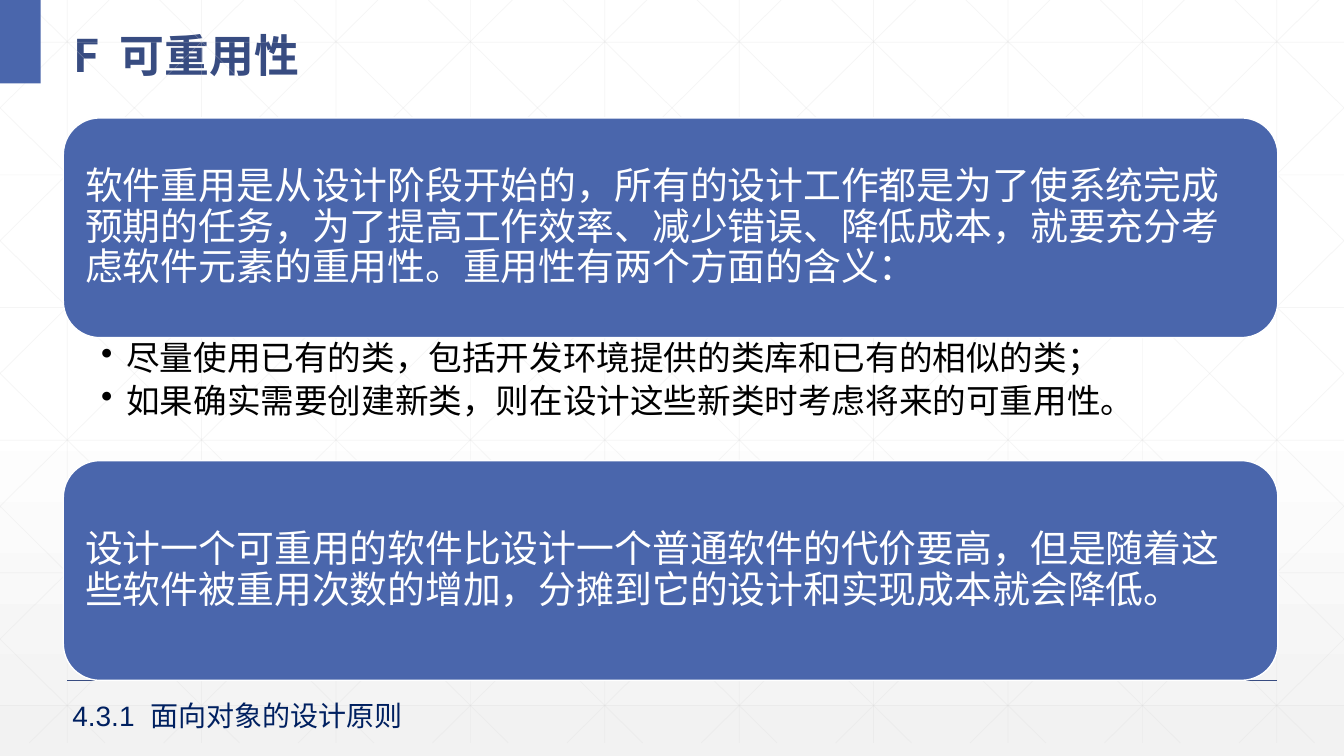
from pptx import Presentation
from pptx.dml.color import RGBColor
from pptx.enum.shapes import MSO_CONNECTOR as Link, MSO_SHAPE as Kind
from pptx.enum.text import MSO_ANCHOR as Anchor, PP_ALIGN as Align
from pptx.oxml.ns import qn
from pptx.util import Pt
from lxml.etree import SubElement

TITLE = "F  可重用性"
INTRO = ("软件重用是从设计阶段开始的，所有的设计工作都是为了使系统完成预期的任务，"
         "为了提高工作效率、减少错误、降低成本，就要充分考虑软件元素的重用性。"
         "重用性有两个方面的含义：")
POINTS = [
    "尽量使用已有的类，包括开发环境提供的类库和已有的相似的类；",
    "如果确实需要创建新类，则在设计这些新类时考虑将来的可重用性。",
]
COST = ("设计一个可重用的软件比设计一个普通软件的代价要高，"
        "但是随着这些软件被重用次数的增加，分摊到它的设计和实现成本就会降低。")
FOOTER = "4.3.1  面向对象的设计原则"

HEX = {"blue": "4A66AC", "deep": "384C81", "navy": "002060", "white": "FFFFFF",
       "black": "000000", "grid": "D9D9D9", "fade": "F2F2F2"}
SANS, HAN = "Arial", "Noto Sans CJK SC"

WIDE, HIGH = 960, 540
FLOOR = 530.6                 # lower end of the grid
COL, ROW = 96, 94.75          # grid steps
RUN = 537                     # sideways reach of a full diagonal
LEFT, TOP = 45.2, 84.2
BOX_W, BOX_H, GAP = 867.6, 157, 87.8


def color(name):
    return RGBColor.from_string(HEX[name])


def rule(slide, x1, y1, x2, y2, tone, width, alpha=None):
    line = slide.shapes.add_connector(Link.STRAIGHT, Pt(x1), Pt(y1), Pt(x2), Pt(y2))
    line.line.color.rgb = color(tone)
    line.line.width = Pt(width)
    if alpha:
        shade = line.line._ln.find(".//" + qn("a:srgbClr"))
        SubElement(shade, qn("a:alpha")).set("val", str(alpha * 1000))
    SubElement(line._element.spPr, qn("a:effectLst"))


def grid():
    """Return the ends of all grid lines, diagonals cut at the slide edges."""
    ends = [(48 + COL * i, 0, 48 + COL * i, FLOOR) for i in range(10)]
    ends += [(0, 30.2 + ROW * i, WIDE, 30.2 + ROW * i) for i in range(6)]
    slope = FLOOR / RUN
    for i in range(-5, 10):
        start = 18 + COL * i
        x1, x2 = max(start, 0), min(start + RUN, WIDE)
        y1, y2 = (x1 - start) * slope, (x2 - start) * slope
        ends += [(x1, y1, x2, y2), (WIDE - x1, y1, WIDE - x2, y2)]
    return ends


def block(slide, kind, x, y, w, h):
    shape = slide.shapes.add_shape(kind, Pt(x), Pt(y), Pt(w), Pt(h))
    shape.shadow.inherit = False
    shape.fill.solid()
    shape.fill.fore_color.rgb = color("blue")
    shape.line.fill.background()
    return shape


def area(slide, x, y, w, h):
    return slide.shapes.add_textbox(Pt(x), Pt(y), Pt(w), Pt(h)).text_frame


def write(frame, text, size, tone, face=SANS, bold=False, space=None):
    frame.word_wrap = True
    frame.text = text
    for para in frame.paragraphs:
        para.alignment = Align.LEFT
        para.line_spacing = space
        for run in para.runs:
            run.font.size, run.font.bold, run.font.name = Pt(size), bold, face
            run.font.color.rgb = color(tone)
            east = SubElement(run._r.get_or_add_rPr(), qn("a:ea"))
            east.set("typeface", face)


def inset(frame, left, top, right, bottom):
    frame.margin_left, frame.margin_top = Pt(left), Pt(top)
    frame.margin_right, frame.margin_bottom = Pt(right), Pt(bottom)


def panel(slide, y, text):
    shape = block(slide, Kind.ROUNDED_RECTANGLE, LEFT, y, BOX_W, BOX_H)
    shape.line.color.rgb = color("white")
    shape.line.width = Pt(1)
    frame = shape.text_frame
    inset(frame, 8, 8, 8, 8)
    frame.vertical_anchor = Anchor.MIDDLE
    write(frame, text, 27, "white", space=0.9)


def bullets(slide, y):
    frame = area(slide, LEFT, y, BOX_W, GAP)
    inset(frame, 27, 2.4, 13.5, 2.4)
    write(frame, "\n".join(POINTS), 24, "black", space=0.9)
    for para in frame.paragraphs:
        para.space_after = Pt(4.8)
        props = para._p.get_or_add_pPr()
        props.set("marL", str(Pt(18)))
        props.set("indent", str(-Pt(18)))
        SubElement(props, qn("a:buChar")).set("char", "•")


def backdrop(slide):
    fill = slide.background.fill
    fill.gradient()
    fill.gradient_angle = 270
    for stop, tone, place in zip(fill.gradient_stops, ("white", "fade"), (0.53, 1)):
        stop.color.rgb = color(tone)
        stop.position = place
    for ends in grid():
        rule(slide, *ends, "grid", 0.5, 25)
    rule(slide, 48, 486, 912, 486, "deep", 1)
    block(slide, Kind.RECTANGLE, 0, 0, 29, 59.5)


def main():
    deck = Presentation()
    deck.slide_width, deck.slide_height = Pt(WIDE), Pt(HIGH)
    slide = deck.slides.add_slide(deck.slide_layouts[5])
    backdrop(slide)

    title = slide.shapes.title
    title.left, title.top, title.width, title.height = Pt(45.2), Pt(7.2), Pt(894), Pt(52.6)
    title.text_frame.vertical_anchor = Anchor.MIDDLE
    write(title.text_frame, TITLE, 32, "deep", HAN, True, 1.3)

    panel(slide, TOP, INTRO)
    bullets(slide, TOP + BOX_H)
    panel(slide, TOP + BOX_H + GAP, COST)
    write(area(slide, 44.6, 495.4, 435, 31.5), FOOTER, 20, "navy")
    deck.save("out.pptx")


if __name__ == "__main__":
    main()
